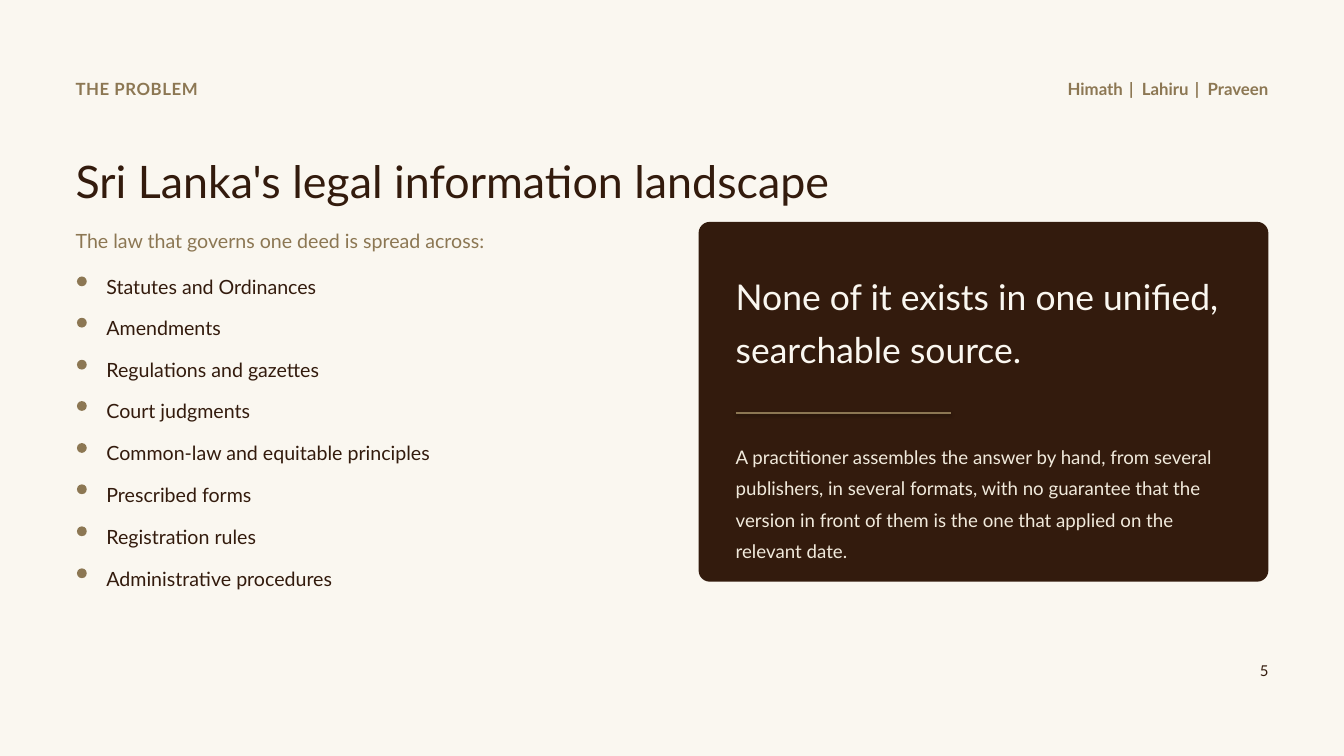
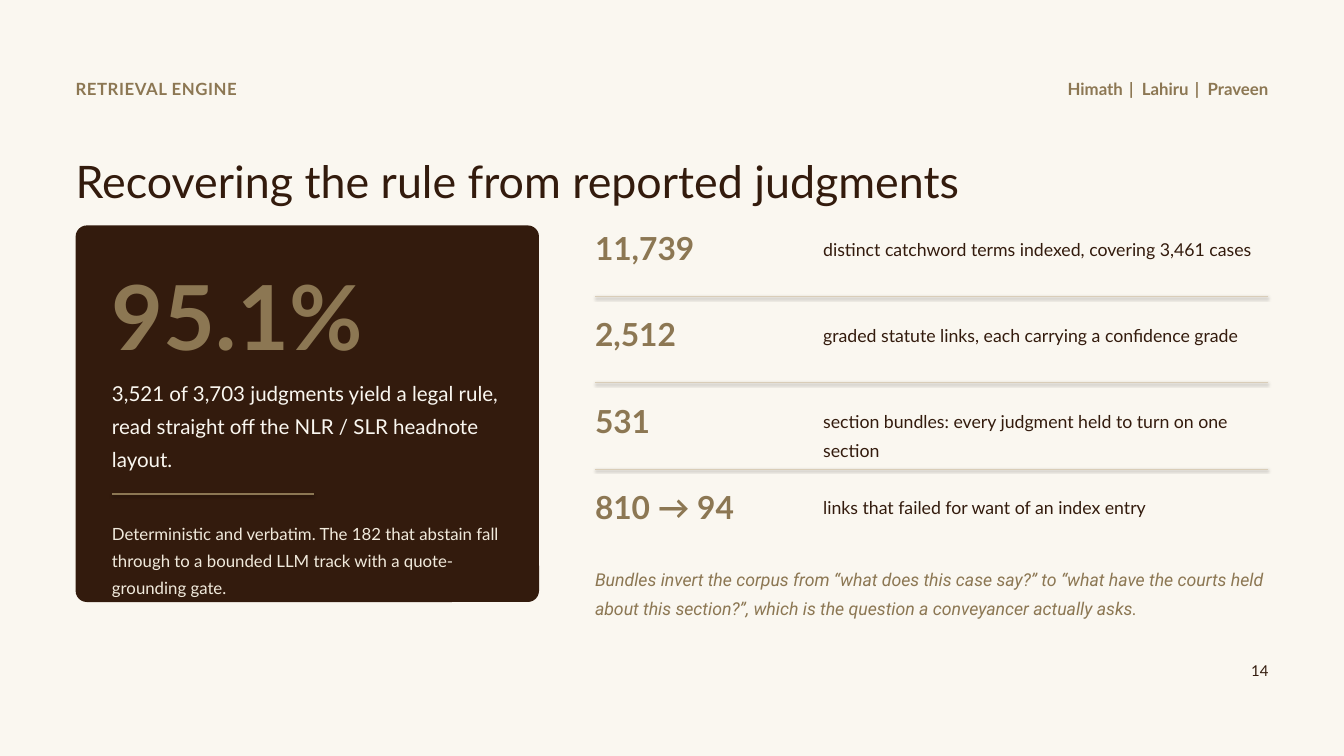
from dataclasses import dataclass, replace

from pptx import Presentation
from pptx import util as u
from pptx.dml.color import RGBColor
from pptx.enum import shapes, text

PX = 9525  # EMU in one px of a 1920 x 1080 page
LEFT, RIGHT = 108, 1812
CORNER = 16


@dataclass(frozen=True)
class Style:
    size: int
    color: str
    leading: float
    bold: bool = False
    italic: bool = False
    font: str = "Lato"
    tracking: int = 0  # hundredths of a point


class Theme:
    paper, ink, gold = "FAF7F0", "331B0D", "8C7753"
    cream, rule = "F1EADC", "D9CDB8"

    names = Style(18, gold, 1.05, bold=True)
    kicker = replace(names, tracking=60)
    separator = replace(names, tracking=230)
    number = Style(16, ink, 1.05)
    title = Style(48, ink, 1.14)
    lead = Style(21, gold, 1.3)
    item = Style(21, ink, 1.25)
    statement = Style(38, paper, 1.24)
    explanation = Style(20, cream, 1.4)
    headline_figure = Style(96, gold, 1.02, bold=True)
    finding = Style(22, paper, 1.34)
    caveat = Style(18, cream, 1.34)
    figure = Style(34, gold, 1.1, bold=True)
    meaning = Style(19, ink, 1.34)
    remark = Style(19, gold, 1.36, italic=True, font="Roboto")


def px(*lengths):
    return [u.Emu(length * PX) for length in lengths]


def rgb(color):
    return RGBColor.from_string(color)


def style_span(span, style):
    font = span.font
    font.name, font.size = style.font, u.Pt(style.size)
    font.bold, font.italic = style.bold, style.italic
    font.color.rgb = rgb(style.color)
    if style.tracking:
        span._r.get_or_add_rPr().set("spc", str(style.tracking))


def write(box, words, style, align=text.PP_ALIGN.LEFT):
    """Fill a box with one paragraph, without margins; return the paragraph."""
    frame = box.text_frame
    frame.text = words
    frame.word_wrap = True
    frame.auto_size = text.MSO_AUTO_SIZE.SHAPE_TO_FIT_TEXT
    frame.vertical_anchor = text.MSO_ANCHOR.TOP
    frame.margin_left = frame.margin_right = 0
    frame.margin_top = frame.margin_bottom = 0
    para = frame.paragraphs[0]
    para.alignment, para.line_spacing = align, style.leading
    style_span(para.runs[0], style)
    return para


def add_text(page, words, style, x, y, width, height, align=text.PP_ALIGN.LEFT):
    box = page.shapes.add_textbox(*px(x, y, width, height))
    return write(box, words, style, align)


def add_filled(page, kind, color, x, y, width, height):
    shape = page.shapes.add_shape(kind, *px(x, y, width, height))
    shape.shadow.inherit = False
    shape.fill.solid()
    shape.fill.fore_color.rgb = rgb(color)
    shape.line.fill.background()
    return shape


def add_card(page, x, y, width, height):
    card = add_filled(page, shapes.MSO_SHAPE.ROUNDED_RECTANGLE, Theme.ink,
                      x, y, width, height)
    card.adjustments[0] = CORNER / min(width, height)


def add_rule(page, x, y, width, color, weight):
    """Draw a horizontal rule that keeps the soft shadow of the theme."""
    rule = page.shapes.add_connector(shapes.MSO_CONNECTOR.STRAIGHT,
                                     *px(x, y, x + width, y))
    rule.line.color.rgb = rgb(color)
    rule.line.width = u.Pt(weight)


def add_names(page, first, *others):
    para = add_text(page, first, Theme.names, RIGHT - 480, 111, 480, 31,
                    text.PP_ALIGN.RIGHT)
    for name in others:
        for words, style in ((" | ", Theme.separator), (name, Theme.names)):
            span = para.add_run()
            span.text = words
            style_span(span, style)


def add_page(deck, kicker, title, number):
    page = deck.slides.add_slide(deck.slide_layouts.get_by_name("Title Only"))
    heading = page.shapes.title
    heading.left, heading.top, heading.width, heading.height = px(
        LEFT, 209, 1488, 79)
    write(heading, title, Theme.title)
    add_text(page, kicker, Theme.kicker, LEFT, 111, 864, 31)
    add_names(page, "Himath", "Lahiru", "Praveen")
    add_text(page, number, Theme.number, RIGHT - 480, 944, 480, 28,
             text.PP_ALIGN.RIGHT)
    return page


def add_bullets(page, items, top, last_top):
    """Spread dotted items evenly from the first top to the last."""
    for index, words in enumerate(items):
        y = top + (last_top - top) * index // (len(items) - 1)
        add_filled(page, shapes.MSO_SHAPE.OVAL, Theme.gold,
                   LEFT + 2, y + 11, 14, 14)
        add_text(page, words, Theme.item, LEFT + 44, y, 730, 40)


def add_figures(page, rows, x, top, pitch):
    for index, (figure, meaning) in enumerate(rows):
        y = top + index * pitch
        if index:
            add_rule(page, x, y - 21, RIGHT - x, Theme.rule, 1)
        add_text(page, figure, Theme.figure, x, y, 307, 56)
        add_text(page, meaning, Theme.meaning, x + 326, y + 9,
                 RIGHT - x - 326, 39)


def build_problem(deck):
    page = add_page(deck, "THE PROBLEM",
                    "Sri Lanka's legal information landscape", "5")
    add_text(page, "The law that governs one deed is spread across:",
             Theme.lead, LEFT, 317, 806, 42)
    add_bullets(page, (
        "Statutes and Ordinances",
        "Amendments",
        "Regulations and gazettes",
        "Court judgments",
        "Common-law and equitable principles",
        "Prescribed forms",
        "Registration rules",
        "Administrative procedures",
    ), 384, 801)

    add_card(page, 998, 317, RIGHT - 998, 514)
    inner, width = 1051, 708
    add_text(page, "None of it exists in one unified, searchable source.",
             Theme.statement, inner, 379, width, 132)
    add_rule(page, inner, 590, 307, Theme.gold, 1.5)
    add_text(page, "A practitioner assembles the answer by hand, from several "
             "publishers, in several formats, with no guarantee that the "
             "version in front of them is the one that applied on the "
             "relevant date.", Theme.explanation, inner, 624, width, 156)


def build_retrieval(deck):
    page = add_page(deck, "RETRIEVAL ENGINE",
                    "Recovering the rule from reported judgments", "14")
    add_card(page, LEFT, 322, 662, 538)
    inner, width = 160, 557
    add_text(page, "95.1%", Theme.headline_figure, inner, 370, width, 136)
    add_text(page, "3,521 of 3,703 judgments yield a legal rule, read straight "
             "off the NLR / SLR headnote layout.",
             Theme.finding, inner, 533, width, 124)
    add_rule(page, inner, 706, 288, Theme.gold, 1.5)
    add_text(page, "Deterministic and verbatim. The 182 that abstain fall "
             "through to a bounded LLM track with a quote-grounding gate.",
             Theme.caveat, inner, 739, width, 102)

    column = 850
    add_figures(page, (
        ("11,739", "distinct catchword terms indexed, covering 3,461 cases"),
        ("2,512", "graded statute links, each carrying a confidence grade"),
        ("531", "section bundles: every judgment held to turn on one section"),
        ("810 → 94", "links that failed for want of an index entry"),
    ), column, 322, 123)
    add_text(page, "Bundles invert the corpus from “what does this case say?” "
             "to “what have the courts held about this section?”, which is "
             "the question a conveyancer actually asks.",
             Theme.remark, column, 802, RIGHT - column, 75)


def main():
    deck = Presentation()
    deck.slide_width, deck.slide_height = px(1920, 1080)
    backdrop = deck.slide_master.background.fill
    backdrop.solid()
    backdrop.fore_color.rgb = rgb(Theme.paper)
    build_problem(deck)
    build_retrieval(deck)
    deck.save("out.pptx")


if __name__ == "__main__":
    main()
